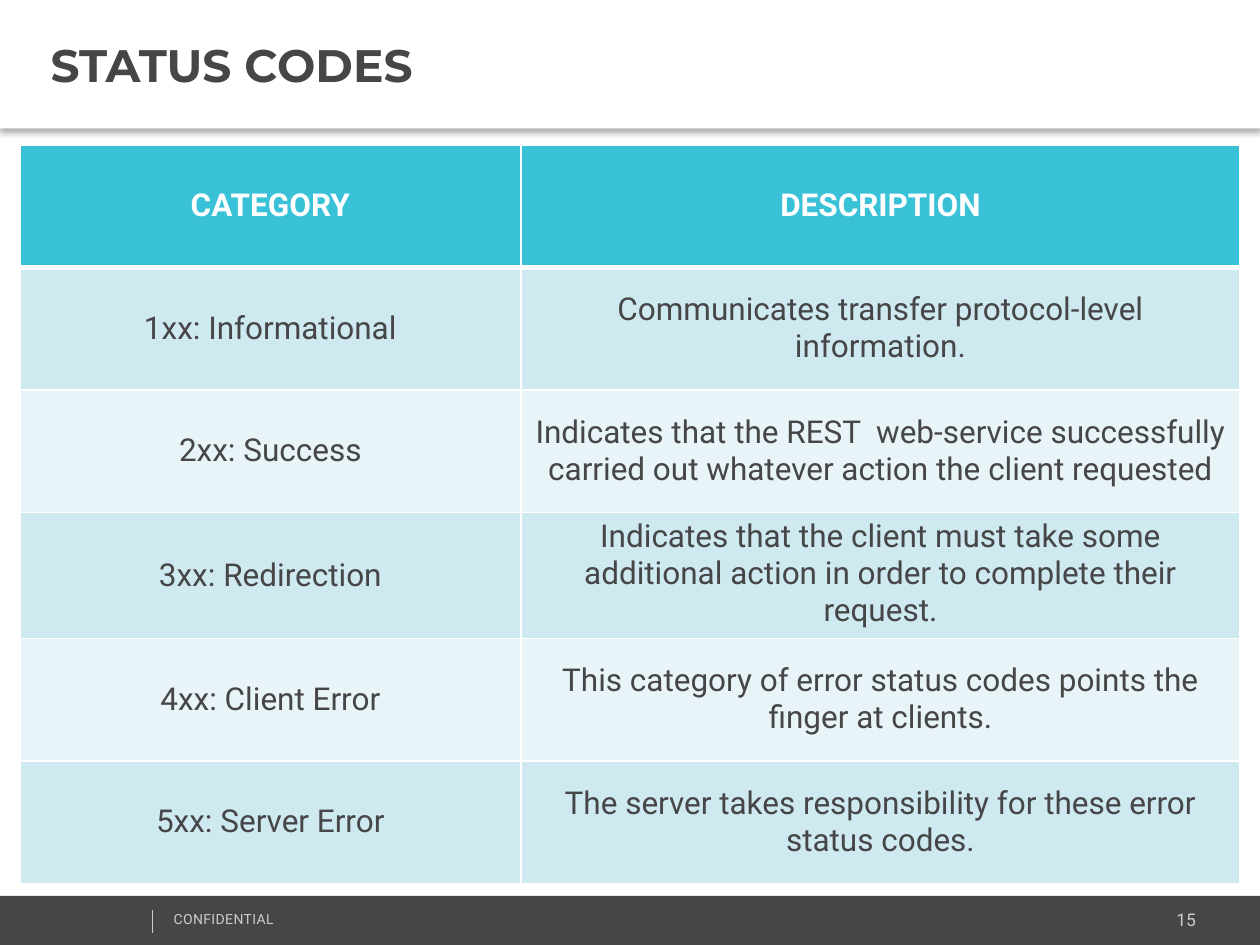
"""Build the status codes slide."""
from dataclasses import dataclass

from lxml import etree
from pptx import Presentation
from pptx import util as u
from pptx.dml.color import RGBColor
from pptx.enum import shapes, text
from pptx.oxml import ns


@dataclass(frozen=True)
class Theme:
    dark: str = "464547"
    light: str = "FFFFFF"
    muted: str = "CCCCCC"
    header: str = "39C2D7"
    bands: tuple = ("CEE9F0", "E8F4F8")
    head_font: str = "Montserrat"
    body_font: str = "Roboto"
    title_pt: float = 26
    table_pt: float = 18
    number_pt: float = 10
    label_pt: float = 8


def rgb(color):
    return RGBColor.from_string(color)


def sub(parent, tag, **attrs):
    return etree.SubElement(parent, ns.qn(tag), attrs)


class Deck:
    def __init__(self, theme):
        self.t = theme
        self.prs = Presentation()
        self.prs.slide_width, self.prs.slide_height = u.Cm(25.4), u.Cm(19.05)
        self.s = self.prs.slides.add_slide(self.prs.slide_layouts[6])

    def add_text(self, tf, content, size, color, font=None, bold=False,
                 align=text.PP_ALIGN.LEFT):
        tf.word_wrap = True
        p = tf.paragraphs[0]
        p.alignment = align
        r = p.add_run()
        r.text = content
        r.font.name = font or self.t.body_font
        r.font.size, r.font.bold = u.Pt(size), bold
        r.font.color.rgb = rgb(color)
        return r

    def bar(self, x, y, w, h, color):
        sp = self.s.shapes.add_shape(
            shapes.MSO_SHAPE.RECTANGLE, u.Cm(x), u.Cm(y), u.Cm(w), u.Cm(h))
        sp.shadow.inherit = False
        sp.fill.solid()
        sp.fill.fore_color.rgb = rgb(color)
        sp.line.fill.background()
        return sp

    def title(self, content, h):
        sp = self.bar(0, 0, 25.4, h, self.t.light)
        effects = sp._element.spPr.find(ns.qn("a:effectLst"))
        shadow = sub(effects, "a:outerShdw", blurRad=str(u.Pt(3.1)), dist=str(u.Pt(2)),
                     dir="5400000", algn="t", rotWithShape="0")
        sub(sub(shadow, "a:srgbClr", val="000000"), "a:alpha", val="30000")
        tf = sp.text_frame
        tf.margin_left = u.Cm(1.02)
        tf.vertical_anchor = text.MSO_ANCHOR.MIDDLE
        self.add_text(tf, content, self.t.title_pt, self.t.dark, self.t.head_font, True)

    def label(self, x, y, w, h, content, size, spacing=0, **style):
        tf = self.s.shapes.add_textbox(u.Cm(x), u.Cm(y), u.Cm(w), u.Cm(h)).text_frame
        r = self.add_text(tf, content, size, self.t.muted, **style)
        if spacing:
            r._r.get_or_add_rPr().set("spc", str(round(spacing * 100)))

    def rule(self, x, top, bottom):
        c = self.s.shapes.add_connector(
            shapes.MSO_CONNECTOR.STRAIGHT, u.Cm(x), u.Cm(top), u.Cm(x), u.Cm(bottom))
        c.line.color.rgb = rgb(self.t.muted)
        c.line.width = u.Pt(0.25)
        sub(c._element.spPr, "a:effectLst")

    def borders(self, cell, **widths):
        tc_pr = cell._tc.get_or_add_tcPr()
        for i, side in enumerate("LRTB"):
            ln = sub(tc_pr, f"a:ln{side}", w=str(u.Pt(widths.get(side, 1))))
            sub(sub(ln, "a:solidFill"), "a:srgbClr", val=self.t.light)
            tc_pr.insert(i, ln)

    def table(self, x, y, widths, row_h, rows, top_cells=()):
        t = self.t
        table = self.s.shapes.add_table(
            len(rows), len(widths), u.Cm(x), u.Cm(y),
            u.Cm(sum(widths)), u.Cm(row_h * len(rows))).table
        for col, w in zip(table.columns, widths):
            col.width = u.Cm(w)
        for i, row in enumerate(rows):
            table.rows[i].height = u.Cm(row_h)
            head = i == 0
            for j, content in enumerate(row):
                cell = table.cell(i, j)
                top = (i, j) in top_cells
                cell.vertical_anchor = text.MSO_ANCHOR.TOP if top else text.MSO_ANCHOR.MIDDLE
                cell.fill.solid()
                cell.fill.fore_color.rgb = rgb(t.header if head else t.bands[(i - 1) % 2])
                self.borders(cell, T=3 if i == 1 else 1, B=3 if head else 1)
                self.add_text(cell.text_frame, content, t.table_pt,
                              t.light if head else t.dark,
                              bold=head, align=text.PP_ALIGN.CENTER)


ROWS = [
    ("CATEGORY", "DESCRIPTION"),
    ("1xx: Informational", "Communicates transfer protocol-level information."),
    ("2xx: Success", "Indicates that the REST  web-service successfully carried out "
                     "whatever action the client requested"),
    ("3xx: Redirection", "Indicates that the client must take some additional action "
                         "in order to complete their request."),
    ("4xx: Client Error", "This category of error status codes points the finger at clients."),
    ("5xx: Server Error", "The server takes responsibility for these error status codes."),
]


def main():
    theme = Theme()
    deck = Deck(theme)
    deck.bar(0, 18.06, 25.4, 1.02, theme.dark)
    deck.label(20.22, 18.21, 4.14, 0.69, "15", theme.number_pt, align=text.PP_ALIGN.RIGHT)
    deck.label(3.25, 18.24, 6.43, 0.61, "CONFIDENTIAL", theme.label_pt, spacing=0.2)
    deck.rule(3.07, 18.34, 18.8)
    deck.title("STATUS CODES", 2.59)
    deck.table(0.4, 2.92, (10.1, 14.5), 2.47, ROWS, top_cells={(3, 1)})
    deck.prs.save("out.pptx")


if __name__ == "__main__":
    main()
